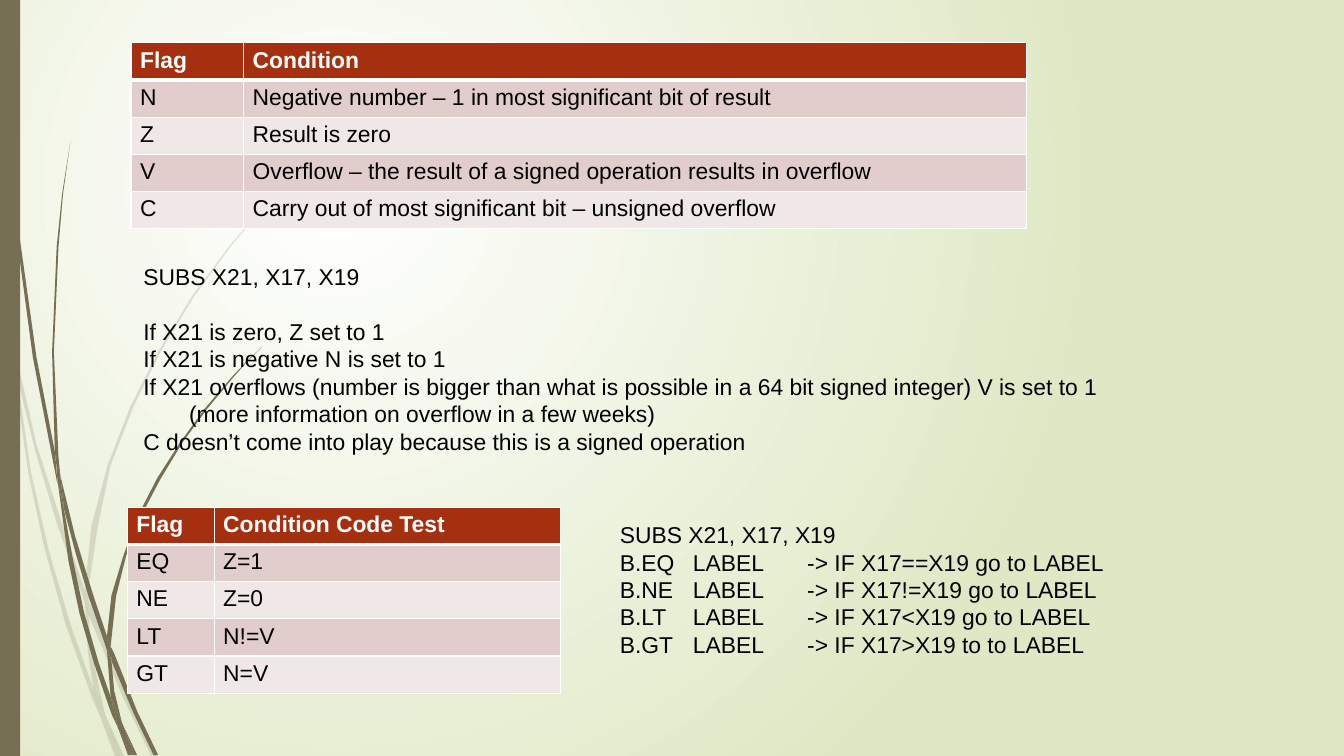
from lxml import etree
from pptx import Presentation, util as u
from pptx.dml.color import RGBColor
from pptx.enum import shapes, text
from pptx.oxml import ns

WIDE, HIGH = u.Inches(14.7), u.Inches(8.27)
COL, ROW = WIDE / 100, HIGH / 100
MESH = (1470, 827)
FONT, SIZE = "Arial", u.Pt(18)
WHITE = RGBColor(0xFF, 0xFF, 0xFF)
BLACK = RGBColor(0, 0, 0)
LIME = RGBColor(0xDF, 0xE8, 0xC4)
OLIVE = RGBColor(0x76, 0x6F, 0x54)
RUST = RGBColor(0xA5, 0x30, 0x10)
ROSE = RGBColor(0xE1, 0xCD, 0xCC)
BLUSH = RGBColor(0xF0, 0xE8, 0xE7)

PALE = [
    [(12, 386), (9, 355), (0, 310), (0, 330), (11, 379)],
    [(63, 575), (93, 660), (93, 646), (68, 573), (40, 486), (16, 381), (19, 414), (39, 495)],
    [(102, 669), (97, 657), (97, 673), (135, 764), (166, 828), (171, 828), (140, 762)],
    [(131, 828), (136, 828), (116, 784)],
    [(102, 753), (77, 683), (53, 601), (34, 517), (19, 414), (12, 386), (31, 518), (49, 601),
     (72, 684), (101, 764), (111, 787), (109, 779)],
    [(93, 660), (96, 712), (102, 753), (106, 763), (116, 784), (114, 778), (100, 712),
     (97, 673), (97, 670)],
    [(97, 643), (107, 576), (121, 509), (146, 445), (176, 384), (212, 325), (252, 270),
     (296, 218), (319, 193), (344, 169), (319, 193), (295, 218), (251, 269), (210, 324),
     (174, 383), (143, 444), (118, 508), (100, 575), (93, 643), (93, 646), (97, 657)],
    [(111, 787), (126, 828), (131, 828)],
    [(97, 671), (97, 673), (97, 657), (93, 646), (93, 661)],
    [(106, 763), (102, 753), (109, 779), (111, 787), (131, 828), (116, 784)],
]
DARK = [
    [(7, 121), (18, 257), (36, 391), (62, 525), (63, 530), (61, 504), (61, 499), (40, 391),
     (21, 256), (8, 120), (5, 53), (4, 0), (3, 0), (4, 53)],
    [(97, 653), (117, 711), (117, 696), (102, 651), (82, 586), (66, 520), (70, 557), (83, 606)],
    [(125, 715), (121, 707), (122, 723), (146, 780), (168, 826), (173, 826), (150, 778)],
    [(121, 762), (108, 725), (92, 670), (80, 613), (70, 557), (63, 526), (75, 614), (87, 671),
     (103, 726), (122, 781), (129, 796), (128, 790)],
    [(66, 520), (64, 500), (59, 385), (64, 270), (69, 212), (77, 155), (68, 212), (62, 270),
     (57, 385), (60, 495)],
    [(147, 826), (150, 826), (134, 792)],
    [(63, 526), (70, 557), (66, 521), (61, 495), (61, 500)],
    [(122, 698), (127, 652), (138, 608), (154, 565), (175, 525), (199, 485), (226, 448),
     (255, 413), (271, 395), (287, 379), (270, 395), (254, 412), (224, 447), (197, 484),
     (172, 523), (151, 564), (135, 608), (122, 651), (117, 696), (121, 707)],
    [(129, 796), (140, 826), (144, 826)],
    [(117, 711), (121, 762), (128, 778), (134, 792), (133, 789), (125, 756), (122, 724),
     (120, 717)],
    [(117, 711), (120, 717), (122, 723), (121, 707), (117, 696)],
    [(128, 778), (121, 762), (128, 790), (129, 796), (144, 826), (147, 826), (134, 792)],
]
FLAGS = [
    ("Flag", "Condition"),
    ("N", "Negative number – 1 in most significant bit of result"),
    ("Z", "Result is zero"),
    ("V", "Overflow – the result of a signed operation results in overflow"),
    ("C", "Carry out of most significant bit – unsigned overflow"),
]
TESTS = [("Flag", "Condition Code Test"), ("EQ", "Z=1"), ("NE", "Z=0"),
         ("LT", "N!=V"), ("GT", "N=V")]
NOTES = [
    "SUBS X21, X17, X19",
    "If X21 is zero, Z set to 1",
    "If X21 is negative N is set to 1",
    "If X21 overflows (number is bigger than what is possible in a 64 bit signed integer)"
    " V is set to 1",
    "(more information on overflow in a few weeks)",
    "C doesn’t come into play because this is a signed operation",
]
CODE = [
    "SUBS X21, X17, X19",
    "B.EQ\tLABEL\t-> IF X17==X19 go to LABEL",
    "B.NE\tLABEL\t-> IF X17!=X19 go to LABEL",
    "B.LT\tLABEL\t-> IF X17<X19 go to LABEL",
    "B.GT\tLABEL\t-> IF X17>X19 to to LABEL",
]


def add(node, tag, **attrs):
    """Append an XML child with the given attributes."""
    return etree.SubElement(node, ns.qn(tag), {k: str(v) for k, v in attrs.items()})


def place(box):
    """Turn a box of grid columns and rows into lengths."""
    x, y, w, h = box
    return [int(n) for n in (x * COL, y * ROW, w * COL, h * ROW)]


def style(para, color=BLACK, bold=False):
    """Format the runs of one paragraph."""
    for run in para.runs:
        font = run.font
        font.name, font.size, font.bold = FONT, SIZE, bold
        font.color.rgb = color


def paint(shape, alpha=100):
    """Give a shape a plain olive fill without line or shadow."""
    shape.shadow.inherit = False
    shape.fill.solid()
    shape.fill.fore_color.rgb = OLIVE
    shape.line.fill.background()
    if alpha < 100:
        tint = shape.element.spPr.find(".//" + ns.qn("a:srgbClr"))
        add(tint, "a:alpha", val=alpha * 1000)


def blade(slide, box, knots, alpha):
    """Draw one piece of grass from points on the fine mesh of the box."""
    left, top, wide, high = place(box)
    dots = [(int(left + x * wide / MESH[0]), int(top + y * high / MESH[1]))
            for x, y in knots]
    form = slide.shapes.build_freeform(*dots[0])
    form.add_line_segments(dots[1:], close=True)
    paint(form.convert_to_shape(), alpha)


def scene(slide, box):
    """Lay the glowing ground, the grass and the side bar."""
    fill = slide.background.fill
    fill.gradient()
    for stop, color in zip(fill.gradient_stops, (WHITE, LIME)):
        stop.color.rgb = color
    line = slide.element.find(".//" + ns.qn("a:lin"))
    ring = add(line.getparent(), "a:path", path="circle")
    add(ring, "a:fillToRect", l=50000, t=50000, r=100000, b=100000)
    line.getparent().remove(line)
    for group, alpha in ((PALE, 20), (DARK, 100)):
        for knots in group:
            blade(slide, box, knots, alpha)
    x, y, w, h = box
    paint(slide.shapes.add_shape(shapes.MSO_SHAPE.RECTANGLE,
                                 *place((x, y, w * 0.015, h))))


def edge(cell, head):
    """Rule a cell in white, heavier below the head row."""
    props = cell._tc.get_or_add_tcPr()
    for n, side in enumerate(("lnL", "lnR", "lnT", "lnB")):
        thick = 3 if head and side == "lnB" else 1
        line = etree.Element(ns.qn("a:" + side), w=str(u.Pt(thick)))
        add(add(line, "a:solidFill"), "a:srgbClr", val=WHITE)
        props.insert(n, line)


def grid(slide, box, rows, first):
    """Set a two-column banded table whose first column spans some grid columns."""
    x, y, w, h = place(box)
    table = slide.shapes.add_table(len(rows), 2, x, y, w, h).table
    table.columns[0].width = int(first * COL)
    table.columns[1].width = w - int(first * COL)
    for r, row in enumerate(rows):
        for c, word in enumerate(row):
            cell = table.cell(r, c)
            cell.text_frame.text = word
            style(cell.text_frame.paragraphs[0], BLACK if r else WHITE, r == 0)
            cell.fill.solid()
            cell.fill.fore_color.rgb = (ROSE if r % 2 else BLUSH) if r else RUST
            edge(cell, r == 0)


def prose(slide, box, lines, stops=()):
    """Write lines in a text box, with tab stops in inches, and return them."""
    frame = slide.shapes.add_textbox(*place(box)).text_frame
    frame.word_wrap = False
    frame.auto_size = text.MSO_AUTO_SIZE.SHAPE_TO_FIT_TEXT
    frame.text = "\n".join(lines)
    for para in frame.paragraphs:
        style(para)
        if stops:
            tabs = add(para._p.get_or_add_pPr(), "a:tabLst")
            for stop in stops:
                add(tabs, "a:tab", pos=u.Inches(stop), algn="l")
    return frame.paragraphs


def notes(slide, box):
    """Explain the flags, with a gap after the code and one indented line."""
    paras = prose(slide, box, NOTES)
    paras[1].space_before = u.Pt(21.6)
    paras[4]._p.get_or_add_pPr().set("marL", str(u.Inches(0.5)))


def main():
    """Build and save the slide."""
    deck = Presentation()
    deck.slide_width, deck.slide_height = WIDE, HIGH
    slide = deck.slides.add_slide(deck.slide_layouts[6])
    scene(slide, (0, 0, 100, 100))
    grid(slide, (9.75, 5.65, 66.65, 24.6), FLAGS, 8.37)
    notes(slide, (10, 34.15, 73, 26.8))
    grid(slide, (9.47, 67.1, 32.25, 24.6), TESTS, 6.46)
    prose(slide, (45.45, 68.3, 37.8, 19.6), CODE, (0.8, 2.05))
    deck.save("out.pptx")


main()
